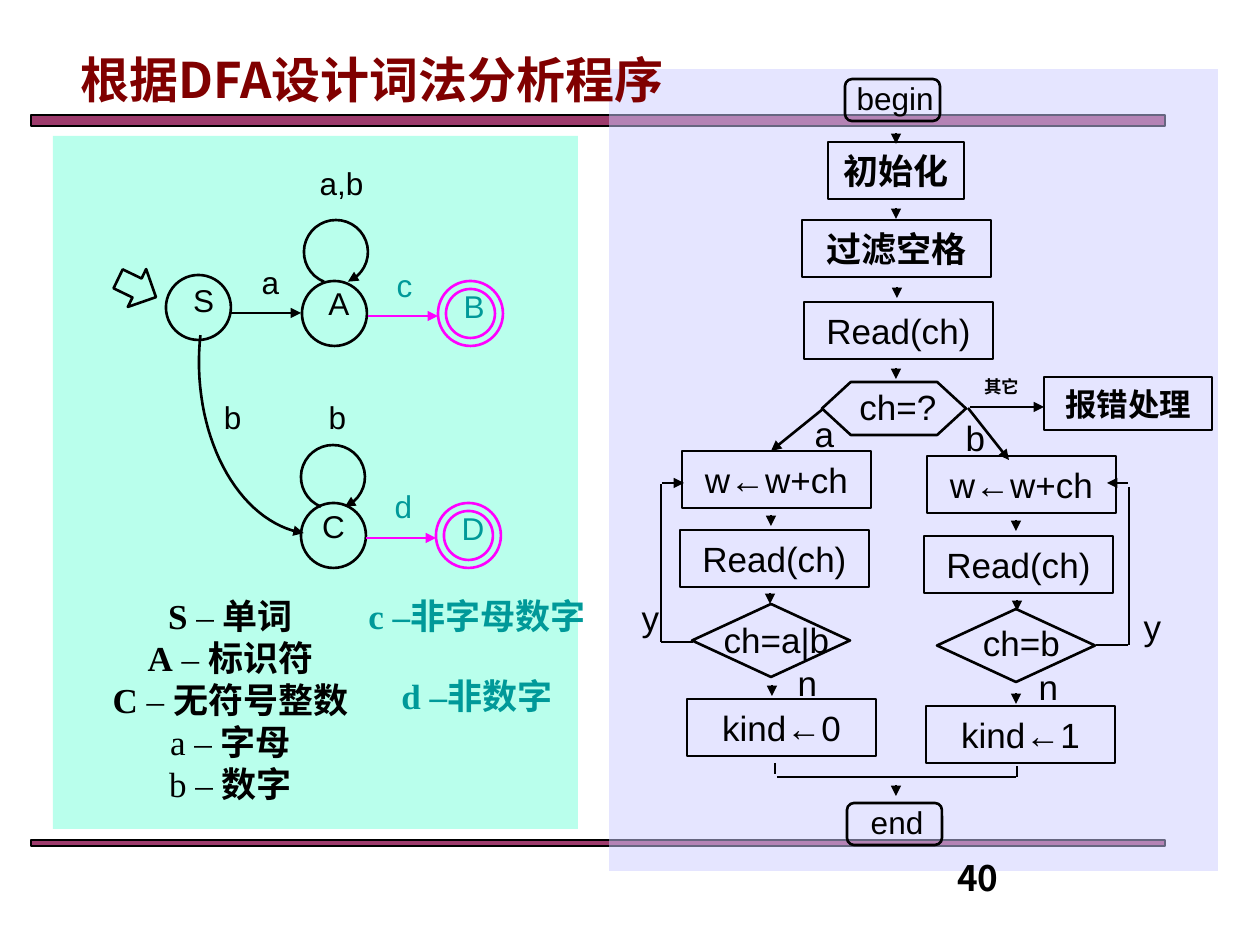
from math import cos, radians, sin

from pptx import Presentation
from pptx.dml.color import RGBColor
from pptx.enum.shapes import MSO_CONNECTOR as Link, MSO_SHAPE as Form
from pptx.enum.text import MSO_ANCHOR as Anchor, MSO_AUTO_SIZE as Fit, PP_ALIGN as Align
from pptx.oxml.ns import qn
from pptx.oxml.xmlchemy import OxmlElement
from pptx.util import Emu, Pt

SCALE = 914400 / 126
BLACK, TEAL, PINK = "000000", "009999", "FF00FF"
CJK = "Noto Sans CJK SC"


def px(length):
    return Emu(round(length * SCALE))


def rgb(code):
    return RGBColor.from_string(code)


class Sketch:
    """Draws styled diagram elements on the current slide."""

    def __init__(self, slide):
        self.slide = slide
        self.shapes = slide.shapes

    def typeset(self, frame, paragraphs, size=20, font="Arial", color=BLACK,
                align=Align.CENTER, anchor=Anchor.TOP, leading=None, before=0):
        frame.word_wrap = True
        frame.auto_size = Fit.NONE
        frame.vertical_anchor = anchor
        frame.margin_left = frame.margin_right = 0
        frame.margin_top = frame.margin_bottom = px(6)
        for index, runs in enumerate(paragraphs):
            paragraph = frame.add_paragraph() if index else frame.paragraphs[0]
            paragraph.alignment = align
            paragraph.space_before = Pt(before if index else 0)
            if leading:
                paragraph.line_spacing = Pt(leading)
            for words, bold in runs:
                run = paragraph.add_run()
                run.text = words
                run.font.size = Pt(size)
                run.font.bold = bold
                run.font.name = font
                run.font.color.rgb = rgb(color)
                east_asian = OxmlElement("a:ea")
                east_asian.set("typeface", CJK)
                run.font._element.find(qn("a:latin")).addnext(east_asian)

    def title(self, words, x, y, w, h, **style):
        heading = self.shapes.title
        heading.left, heading.top, heading.width, heading.height = map(px, (x, y, w, h))
        self.typeset(heading.text_frame, [[(words, True)]], anchor=Anchor.MIDDLE, **style)
        heading.element.getparent().append(heading.element)

    def text(self, paragraphs, x, y, w, h, **style):
        box = self.shapes.add_textbox(*map(px, (x, y, w, h)))
        self.typeset(box.text_frame, paragraphs, **style)

    def label(self, words, x, y, w, h=54, bold=False, **style):
        self.text([[(words, bold)]], x, y, w, h, **style)

    def stroke(self, shape, color, width, arrow):
        shape.line.color.rgb = rgb(color)
        shape.line.width = Pt(width)
        if arrow:
            head = OxmlElement("a:tailEnd")
            head.set("type", "triangle")
            shape.element.spPr.find(qn("a:ln")).append(head)

    def outline(self, form, x, y, w, h, color=BLACK, turn=0):
        shape = self.shapes.add_shape(form, *map(px, (x, y, w, h)))
        shape.shadow.inherit = False
        shape.fill.background()
        shape.rotation = turn
        self.stroke(shape, color, 1.5, False)
        return shape

    def step(self, words, x, y, w=189, h=57, bold=False, size=20):
        shape = self.outline(Form.RECTANGLE, x, y, w, h)
        self.typeset(shape.text_frame, [[(words, bold)]], size=size, anchor=Anchor.MIDDLE)

    def panel(self, x, y, w, h, color, opacity, edge=False):
        shape = self.shapes.add_shape(Form.RECTANGLE, *map(px, (x, y, w, h)))
        shape.shadow.inherit = False
        shape.fill.solid()
        shape.fill.fore_color.rgb = rgb(color)
        alpha = OxmlElement("a:alpha")
        alpha.set("val", str(opacity * 1000))
        next(shape.element.spPr.iter(qn("a:srgbClr"))).append(alpha)
        if edge:
            self.stroke(shape, BLACK, 0.75, False)
        else:
            shape.line.fill.background()

    def line(self, x1, y1, x2, y2, color=BLACK, width=1.5, arrow=False):
        link = self.shapes.add_connector(Link.STRAIGHT, *map(px, (x1, y1, x2, y2)))
        self.stroke(link, color, width, arrow)
        link.element.spPr.append(OxmlElement("a:effectLst"))

    def drop(self, x, y):
        self.line(x, y, x, y + 11, width=0.75, arrow=True)

    def arc(self, cx, cy, rx, ry, start, end, steps=32):
        angles = [radians(start + (end - start) * i / steps) for i in range(steps + 1)]
        points = [(px(cx + rx * cos(a)), px(cy + ry * sin(a))) for a in angles]
        builder = self.shapes.build_freeform(*points[0])
        builder.add_line_segments(points[1:], close=False)
        curve = builder.convert_to_shape()
        curve.shadow.inherit = False
        curve.fill.background()
        self.stroke(curve, BLACK, 1.5, True)


def draw_automaton(sketch):
    for x, y, color in [(166, 275, BLACK), (302, 281, BLACK), (301, 503, BLACK),
                        (438, 281, PINK), (436, 503, PINK)]:
        sketch.outline(Form.OVAL, x, y, 65, 65, color)
        if color == PINK:
            sketch.outline(Form.OVAL, x + 8, y + 8, 49, 49, color)
    sketch.outline(Form.RIGHT_ARROW, 116, 267, 42, 42, turn=25.8)
    sketch.line(231, 313, 301, 313, arrow=True)
    sketch.line(368, 316, 438, 316, PINK, arrow=True)
    sketch.line(366, 538, 436, 538, PINK, arrow=True)
    sketch.arc(316, 362, 117, 172, 189, 96)
    for cx, cy in [(336, 252), (333, 477)]:
        sketch.arc(cx, cy, 32, 32, 112, 428)
    for words, x, y, w, color in [
            ("S", 175, 275, 57, BLACK), ("A", 310, 278, 58, BLACK), ("C", 309, 501, 49, BLACK),
            ("B", 445, 281, 58, TEAL), ("D", 444, 503, 58, TEAL), ("a", 239, 257, 63, BLACK),
            ("a,b", 294, 158, 95, BLACK), ("c", 378, 260, 53, TEAL), ("d", 377, 481, 53, TEAL),
            ("b", 310, 392, 55, BLACK), ("b", 205, 392, 55, BLACK)]:
        sketch.label(words, x, y, w, 63, size=18, color=color)


def draw_legend(sketch):
    meanings = [("S", "单词", True), ("A", "标识符", True), ("C", "无符号整数", True),
                ("a", "字母", False), ("b", "数字", False)]
    sketch.text([[(symbol, bold), (" – ", False), (meaning, True)]
                 for symbol, meaning, bold in meanings],
                94, 588, 273, 223, font="Times New Roman", leading=24)
    sketch.text([[("c –非字母数字", True)], [("d –非数字", True)]],
                346, 567, 262, 160, font="Times New Roman", color=TEAL, leading=36, before=10)


def draw_flowchart(sketch):
    for words, x, y in [("begin", 845, 79), ("end", 847, 803)]:
        sketch.outline(Form.ROUNDED_RECTANGLE, x, y, 95, 42)
        sketch.label(words, x - 2, y - 6, 104, 50, size=18)
    sketch.step("初始化", 828, 142, w=136, bold=True)
    sketch.step("过滤空格", 802, 220, bold=True)
    sketch.step("报错处理", 1044, 377, 168, 53, bold=True, size=18)
    sketch.outline(Form.FLOWCHART_PREPARATION, 822, 382, 144, 53)
    for words, x, y in [("Read(ch)", 804, 302), ("w←w+ch", 682, 451), ("Read(ch)", 680, 530),
                        ("kind←0", 687, 699), ("w←w+ch", 927, 456), ("Read(ch)", 924, 536),
                        ("kind←1", 926, 706)]:
        sketch.step(words, x, y)
    for x, y in [(692, 604), (937, 609)]:
        sketch.outline(Form.FLOWCHART_DECISION, x, y, 158, 73)
    for words, x, y, w in [
            ("ch=?", 830, 379, 136), ("ch=a|b", 703, 612, 147), ("ch=b", 948, 615, 147),
            ("a", 798, 406, 53), ("b", 949, 410, 53), ("y", 624, 590, 53),
            ("y", 1126, 599, 53), ("n", 781, 655, 53), ("n", 1022, 659, 53)]:
        sketch.label(words, x, y, w)
    sketch.label("其它", 970, 370, 63, 34, bold=True, size=10)
    for x, y in [(896, 133), (896, 208), (897, 287), (896, 368), (771, 515), (1016, 520),
                 (770, 593), (1017, 600), (772, 685), (1016, 693), (896, 785)]:
        sketch.drop(x, y)
    for route in [(823, 409, 771, 451), (968, 408, 1009, 460), (970, 407, 1044, 407),
                  (662, 483, 684, 483), (1128, 483, 1107, 483)]:
        sketch.line(*route, arrow=True)
    for route in [(661, 642, 693, 642), (661, 484, 661, 642), (1096, 645, 1128, 645),
                  (1129, 487, 1129, 645), (775, 763, 775, 774), (777, 777, 1016, 777),
                  (1017, 766, 1017, 777)]:
        sketch.line(*route)


def main():
    deck = Presentation()
    deck.slide_width, deck.slide_height = px(1260), px(945)
    sketch = Sketch(deck.slides.add_slide(deck.slide_layouts[5]))
    sketch.panel(31, 115, 1134, 11, "993366", 96, edge=True)
    sketch.panel(31, 840, 1134, 6, "993366", 96, edge=True)
    sketch.panel(609, 69, 609, 802, "CCCCFF", 50)
    sketch.panel(53, 136, 525, 693, "75FFDB", 50)
    draw_automaton(sketch)
    draw_legend(sketch)
    draw_flowchart(sketch)
    sketch.label("40", 957, 850, 282, 34, bold=True, font=CJK, align=Align.LEFT)
    sketch.title("根据DFA设计词法分析程序", 15, 43, 714, 72, size=28, font=CJK, color="800000")
    deck.save("out.pptx")


if __name__ == "__main__":
    main()
